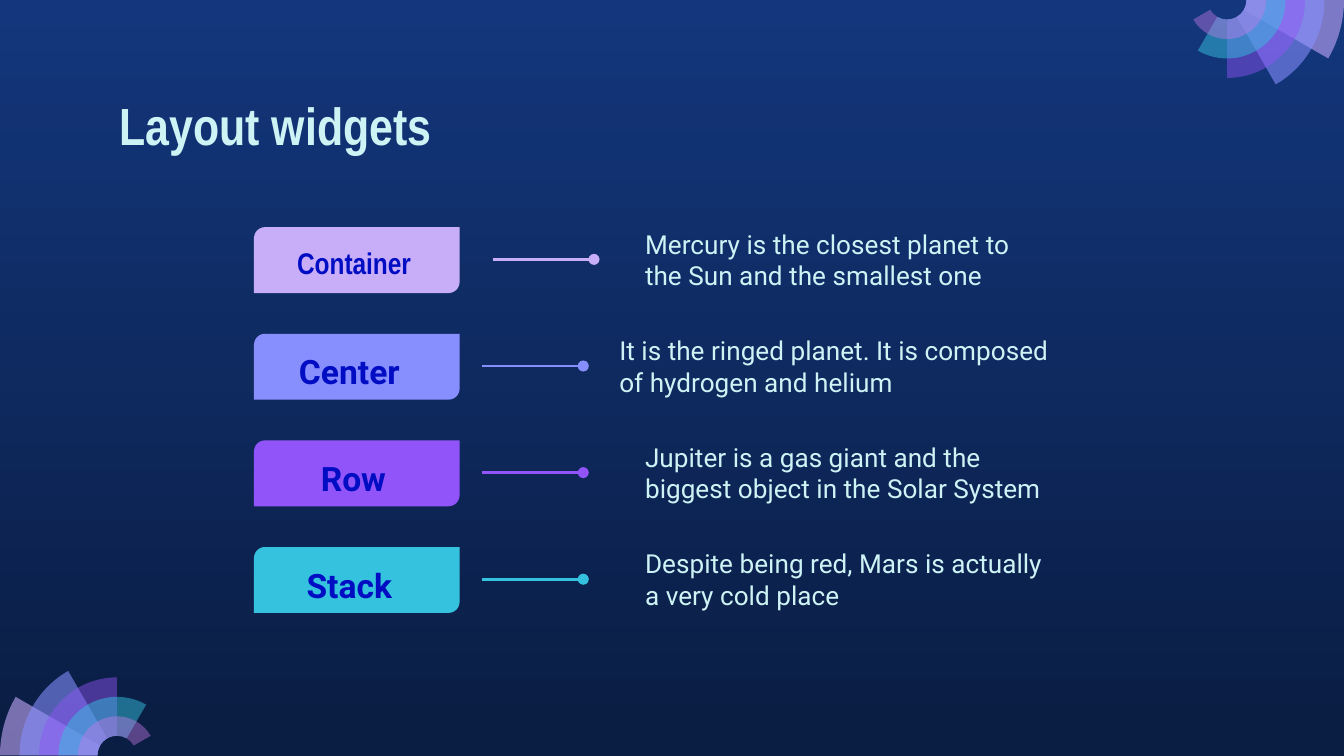
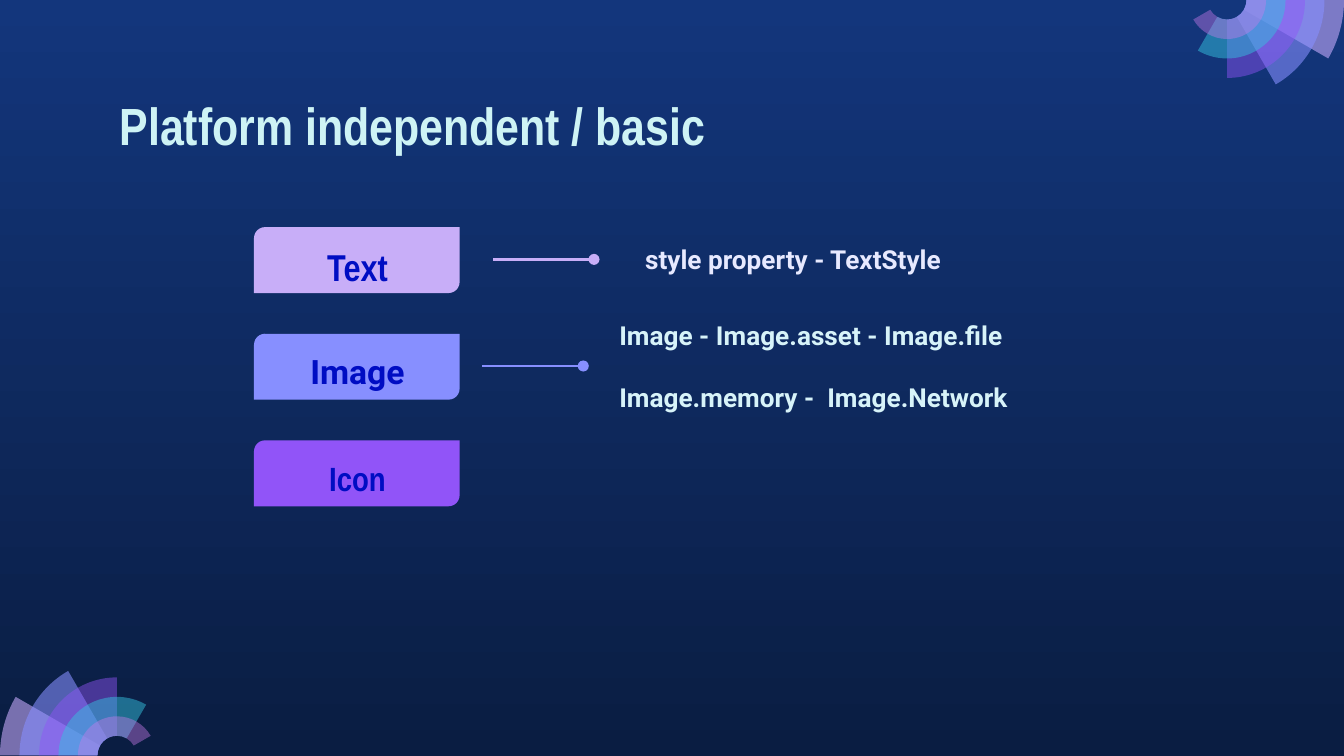
import math

import pptx
import pptx.dml.color
import pptx.enum.shapes
import pptx.enum.text
import pptx.oxml
import pptx.oxml.ns
import pptx.util

Inches = pptx.util.Inches
Pt = pptx.util.Pt
RGB = pptx.dml.color.RGBColor.from_string
ALIGN = pptx.enum.text.PP_ALIGN
ANCHOR = pptx.enum.text.MSO_ANCHOR
namespace = pptx.oxml.ns.nsdecls("a")

theme = {
    "sky": ["13367C", "0A1D42"],
    "rows": ["C8AEF8", "878FFF", "9154F8", "35C2DF"],
    "petals": [("C8ACFD", 58), ("878FFF", 58), ("9154F8", 46), ("35C2DF", 49), ("CA7BEB", 42)],
    "ice": "CEF3F5",
    "lavender": "E7E9FF",
    "pale": "D7F3F9",
    "label": "000DC3",
    "narrow": "Arial Narrow",
    "body": "Roboto",
    "title_size": 28,
    "detail_size": 14,
}

topics = [
    ("Layout widgets", [
        ("Container", "narrow", 16, 0.05, ["Mercury is the closest planet to the Sun and the smallest one"]),
        ("Center", "body", 18, 0.12, ["It is the ringed planet. It is composed of hydrogen and helium"]),
        ("Row", "body", 18, 0.06, ["Jupiter is a gas giant and the biggest object in the Solar System"]),
        ("Stack", "body", 18, 0.12, ["Despite being red, Mars is actually a very cold place"]),
    ], ["ice"] * 4, False, [3.6] * 4),
    ("Platform independent / basic", [
        ("Text", "narrow", 20, 0, ["style property - TextStyle"]),
        ("Image", "body", 18, 0, ["Image - Image.asset - Image.file", "Image.memory -  Image.Network"]),
        ("Icon", "narrow", 18, 0, []),
    ], ["lavender", "pale", "ice"], True, [3.6, 5.04, 3.6]),
]

row_pitch = 2.38 / 3
connector_starts = [3.67, 3.59, 3.59, 3.59]
detail_insets = [0.29, 0.1, 0.29, 0.29]


def set_all(target, formats):
    for attribute, value in formats.items():
        setattr(target, attribute, value)


def write(shape, lines, frame_format, paragraph_format, font_format, color):
    frame = shape.text_frame
    set_all(frame, {
        "word_wrap": True,
        "auto_size": pptx.enum.text.MSO_AUTO_SIZE.NONE,
        "vertical_anchor": ANCHOR.TOP,
        "margin_left": Inches(0.1),
        "margin_right": Inches(0.1),
        "margin_top": Inches(0.1),
        "margin_bottom": Inches(0.1),
        **frame_format,
    })
    for number, line in enumerate(lines):
        paragraph = frame.add_paragraph() if number else frame.paragraphs[0]
        paragraph.text = line
        set_all(paragraph, paragraph_format)
        if number:
            paragraph.space_before = Pt(16.5)
        set_all(paragraph.font, font_format)
        paragraph.font.color.rgb = RGB(color)


deck = pptx.Presentation()
set_all(deck, {"slide_width": Inches(10), "slide_height": Inches(5.625)})
layout = deck.slide_layouts.get_by_name("Title Only")

sky = layout.background.fill
sky.gradient()
sky.gradient_angle = 270
for stop, position, color in zip(sky.gradient_stops, [0, 1], theme["sky"]):
    stop.position = position
    stop.color.rgb = RGB(color)

for heading, rows, detail_colors, detail_bold, detail_widths in topics:
    slide = deck.slides.add_slide(layout)
    title = slide.shapes.title
    set_all(title, {"left": Inches(0.79), "top": Inches(0.59), "width": Inches(8.43), "height": Inches(0.63)})
    write(title, [heading], {}, {"alignment": ALIGN.LEFT},
          {"name": theme["narrow"], "size": Pt(theme["title_size"]), "bold": True}, theme["ice"])

    for index, (label, face, size, trailing, details) in enumerate(rows):
        drop = index * row_pitch
        row_color = RGB(theme["rows"][index])

        badge = slide.shapes.add_shape(
            pptx.enum.shapes.MSO_SHAPE.ROUND_2_DIAG_RECTANGLE,
            Inches(1.89), Inches(1.69 + drop), Inches(1.53), Inches(0.49))
        badge.adjustments[0] = 0.167
        badge.adjustments[1] = 0
        badge.shadow.inherit = False
        badge.fill.solid()
        badge.fill.fore_color.rgb = row_color
        badge.line.fill.background()

        badge_label = slide.shapes.add_textbox(Inches(2.02), Inches(1.72 + drop), Inches(1.28), Inches(0.43))
        write(badge_label, [label], {"margin_right": Inches(0.1 + trailing)},
              {"alignment": ALIGN.CENTER, "space_after": Pt(16)},
              {"name": theme[face], "size": Pt(size), "bold": True}, theme["label"])

        if not details:
            continue

        detail = slide.shapes.add_textbox(
            Inches(4.51), Inches(1.61 + drop), Inches(detail_widths[index]), Inches(0.64))
        write(detail, details,
              {"vertical_anchor": ANCHOR.MIDDLE, "margin_left": Inches(detail_insets[index]),
               "margin_right": Inches(0.3)},
              {"alignment": ALIGN.LEFT},
              {"name": theme["body"], "size": Pt(theme["detail_size"]), "bold": detail_bold},
              theme[detail_colors[index]])

        start = connector_starts[index]
        pointer = slide.shapes.add_connector(
            pptx.enum.shapes.MSO_CONNECTOR.STRAIGHT,
            Inches(start), Inches(1.93 + drop), Inches(start + 0.75), Inches(1.93 + drop))
        pointer.line.width = Pt(1.5)
        pointer.line.color.rgb = row_color
        outline = pointer.element.spPr.find(pptx.oxml.ns.qn("a:ln"))
        outline.append(pptx.oxml.parse_xml(f'<a:tailEnd {namespace} type="oval"/>'))
        pointer.element.spPr.append(pptx.oxml.parse_xml(f"<a:effectLst {namespace}/>"))

ring = 0.145
for center_x, center_y, first_angle in [(0.87, 5.62, 180), (9.13, 0, 0)]:
    fan = slide.shapes.add_group_shape()
    for index, (color, opacity) in enumerate(theme["petals"]):
        sweep = 30 * (index + 1)
        turns = [0, sweep] if sweep <= 90 else [0, 90, sweep]
        angles = [math.radians(first_angle + turn) for turn in turns]
        nodes = [(ring * (6 - index), angle) for angle in reversed(angles)]
        nodes += [(ring, angle) for angle in angles]
        corners = [
            (Inches(center_x + radius * math.cos(angle)), Inches(center_y + radius * math.sin(angle)))
            for radius, angle in nodes]
        builder = fan.shapes.build_freeform(*corners[0])
        builder.add_line_segments(corners[1:])
        petal = builder.convert_to_shape()

        edges = petal.element.spPr.findall(".//" + pptx.oxml.ns.qn("a:lnTo"))
        for edge, before, after, corner, next_corner in zip(edges, nodes, nodes[1:], corners, corners[1:]):
            if before[0] != after[0]:
                continue
            reach = Inches(before[0]) * 4 / 3 * math.tan((after[1] - before[1]) / 4)
            controls = [
                (corner[0] - reach * math.sin(before[1]), corner[1] + reach * math.cos(before[1])),
                (next_corner[0] + reach * math.sin(after[1]), next_corner[1] - reach * math.cos(after[1])),
                next_corner]
            points = "".join(
                f'<a:pt x="{round(x - petal.left)}" y="{round(y - petal.top)}"/>' for x, y in controls)
            edge.getparent().replace(edge, pptx.oxml.parse_xml(
                f"<a:cubicBezTo {namespace}>{points}</a:cubicBezTo>"))

        petal.shadow.inherit = False
        petal.line.fill.background()
        petal.fill.solid()
        petal.fill.fore_color.rgb = RGB(color)
        tint = petal.element.spPr.find(".//" + pptx.oxml.ns.qn("a:srgbClr"))
        tint.append(pptx.oxml.parse_xml(f'<a:alpha {namespace} val="{opacity * 1000}"/>'))
    layout.shapes.element.append(fan.element)

deck.save("out.pptx")
